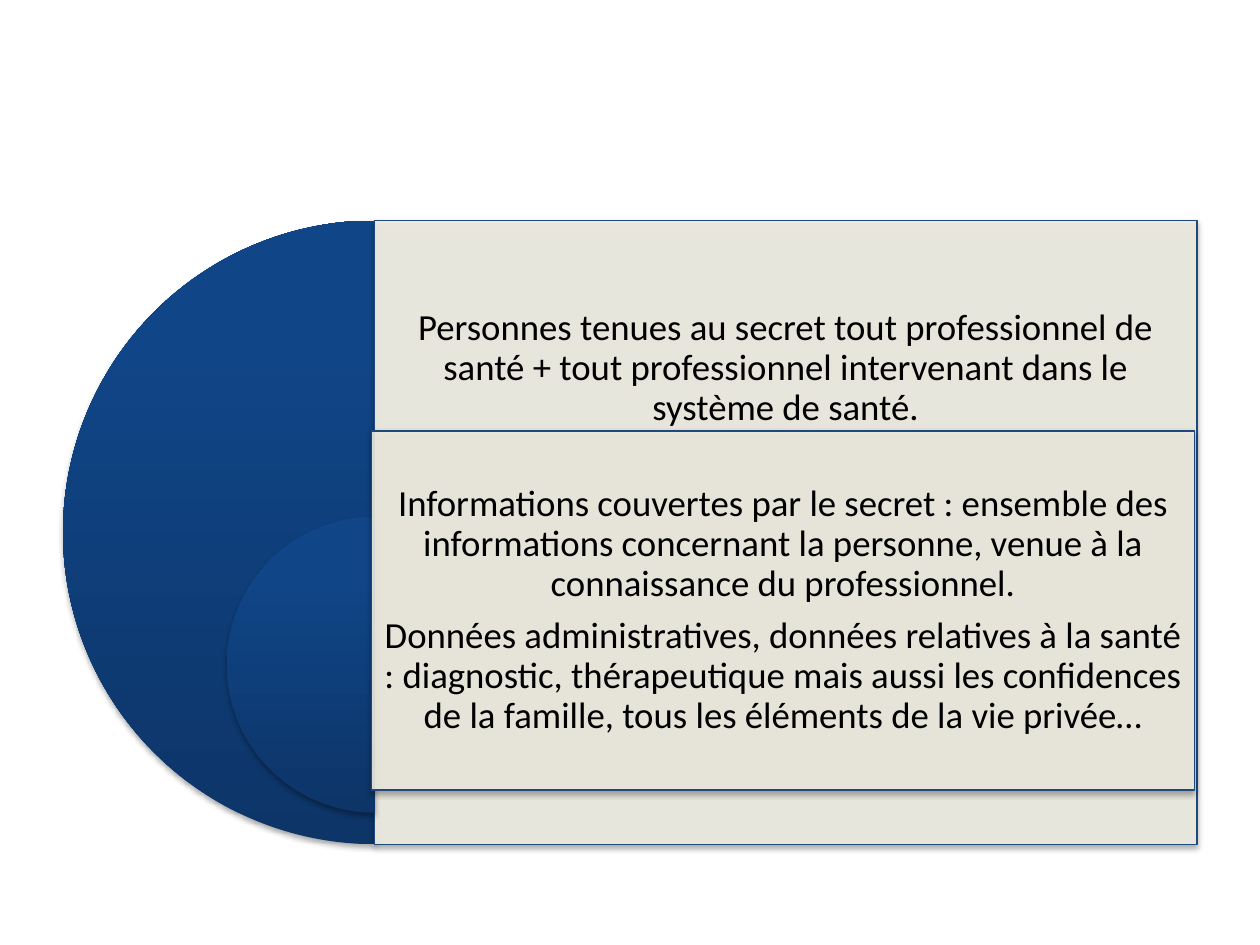
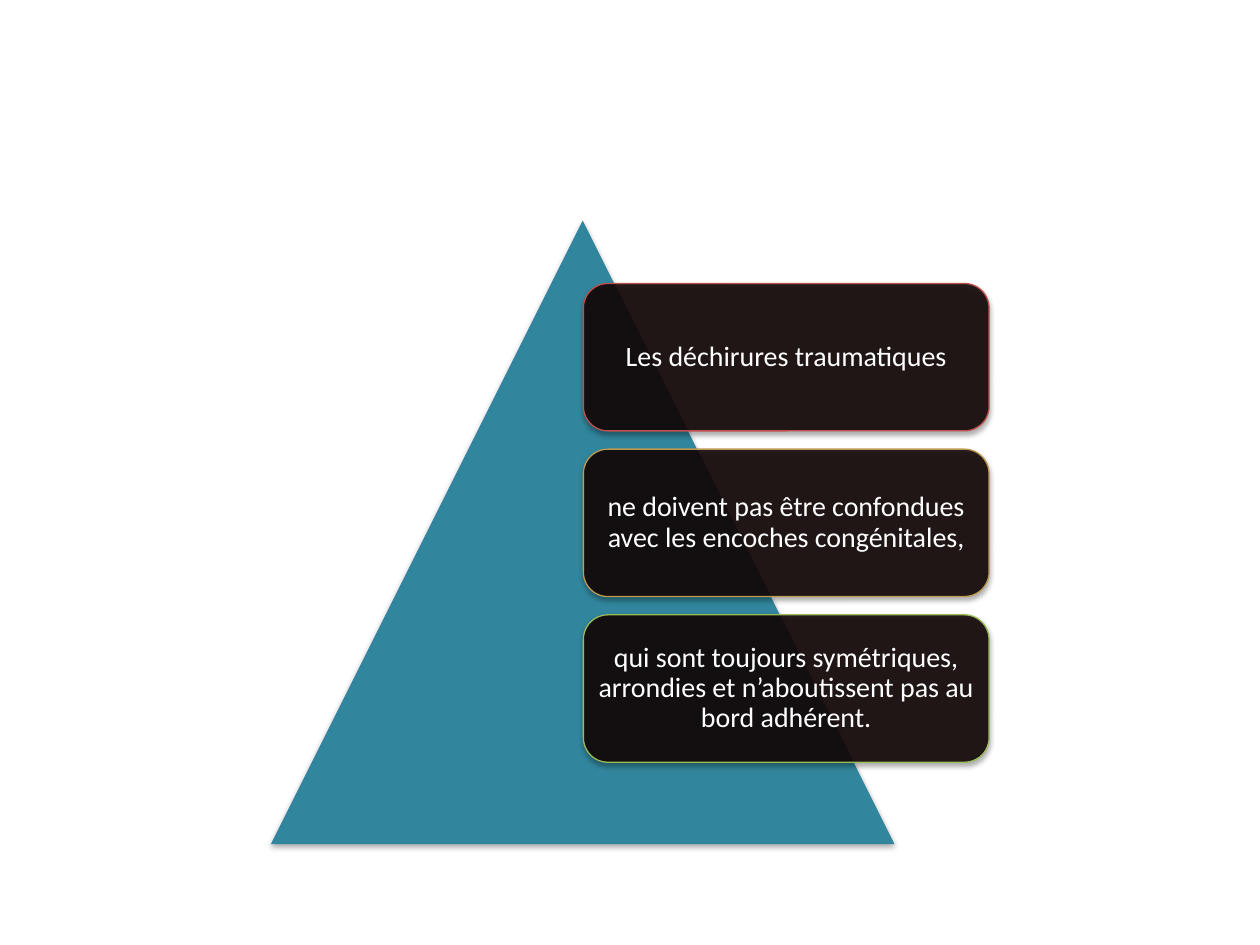
from copy import deepcopy
from dataclasses import dataclass
from typing import Optional

from lxml.etree import SubElement
from pptx import Presentation
from pptx.dml.color import RGBColor
from pptx.enum.shapes import MSO_SHAPE
from pptx.enum.text import MSO_ANCHOR, PP_ALIGN
from pptx.oxml.ns import qn
from pptx.util import Emu, Pt

EMU_PER_PX = 4572  # 200 px to the inch


@dataclass(frozen=True)
class Theme:
    font: str = "Calibri"
    panel_size: int = 21
    card_size: int = 16
    panel_text: str = "000000"
    card_text: str = "FFFFFF"
    panel_fill: str = "EEECE1"
    panel_line: str = "1F497D"
    card_fill: str = "120606"
    card_lines: tuple = ("C0504D", "BD9B53", "9BBB59")
    triangle: str = "31859C"
    pie_stops: tuple = ((0, "0D3568"), (0.8, "104587"), (1, "0E458A"))
    line_width: float = 0.75
    opacity: int = 90


THEME = Theme()


@dataclass(frozen=True)
class Area:
    left: int
    top: int
    width: int
    height: int


@dataclass(frozen=True)
class TextBlock:
    area: Area
    paragraphs: tuple
    kind: MSO_SHAPE
    fill: str
    line: str
    size: int
    color: str
    inset: int
    text_height: Optional[int] = None  # None: the full height


def px(length: int) -> Emu:
    return Emu(length * EMU_PER_PX)


def rgb(color: str) -> RGBColor:
    return RGBColor.from_string(color)


def add_shadow(shape) -> None:
    shape.shadow.inherit = False
    effects = shape.element.spPr.find(qn("a:effectLst"))
    shadow = SubElement(effects, qn("a:outerShdw"), blurRad="40000",
                        dist="23000", dir="5400000", rotWithShape="0")
    black = SubElement(shadow, qn("a:srgbClr"), val="000000")
    SubElement(black, qn("a:alpha"), val="35000")


def add_figure(page, kind: MSO_SHAPE, area: Area):
    """Add a shape with the shared soft shadow and no outline."""
    shape = page.shapes.add_shape(
        kind, px(area.left), px(area.top), px(area.width), px(area.height))
    shape.line.fill.background()
    add_shadow(shape)
    return shape


def add_half_disc(page, area: Area) -> None:
    disc = add_figure(page, MSO_SHAPE.PIE, area)
    disc.adjustments[0], disc.adjustments[1] = 54, 162  # left half
    disc.fill.gradient()
    disc.fill.gradient_angle = 90
    stop_list = disc.element.spPr.find(".//" + qn("a:gsLst"))
    stop_list.append(deepcopy(stop_list[0]))
    for stop, (position, color) in zip(disc.fill.gradient_stops, THEME.pie_stops):
        stop.position = position
        stop.color.rgb = rgb(color)


def add_text_block(page, block: TextBlock) -> None:
    box = add_figure(page, block.kind, block.area)
    box.fill.solid()
    box.fill.fore_color.rgb = rgb(block.fill)
    fill_color = box.element.spPr.find(qn("a:solidFill"))[0]
    SubElement(fill_color, qn("a:alpha"), val=str(THEME.opacity * 1000))
    box.line.color.rgb = rgb(block.line)
    box.line.width = Pt(THEME.line_width)

    # Text area
    frame = box.text_frame
    frame.word_wrap = True
    frame.vertical_anchor = MSO_ANCHOR.MIDDLE
    spare = block.area.height - (block.text_height or block.area.height)
    frame.margin_left = frame.margin_right = frame.margin_top = px(block.inset)
    frame.margin_bottom = px(block.inset + spare)

    # Paragraphs
    for index, text in enumerate(block.paragraphs):
        para = frame.add_paragraph() if index else frame.paragraphs[0]
        para.text = text
        para.alignment = PP_ALIGN.CENTER
        para.line_spacing = 0.9
        para.space_after = Pt(block.size * 0.35)
        para.font.name = THEME.font
        para.font.size = Pt(block.size)
        para.font.color.rgb = rgb(block.color)


def panel(area: Area, paragraphs: tuple, text_height: Optional[int] = None) -> TextBlock:
    return TextBlock(area, paragraphs, MSO_SHAPE.RECTANGLE, THEME.panel_fill,
                     THEME.panel_line, THEME.panel_size, THEME.panel_text,
                     18, text_height)


def card(area: Area, text: str, line: str) -> TextBlock:
    return TextBlock(area, (text,), MSO_SHAPE.ROUNDED_RECTANGLE, THEME.card_fill,
                     line, THEME.card_size, THEME.card_text, 2)


def build_secrecy(page) -> None:
    # Outer half disc and its panel
    add_half_disc(page, Area(100, 350, 990, 990))
    add_text_block(page, panel(Area(594, 350, 1306, 990), (
        "Personnes tenues au secret tout professionnel de santé + tout "
        "professionnel intervenant dans le système de santé.",
    ), text_height=470))

    # Inner half disc and its panel
    add_half_disc(page, Area(360, 820, 470, 470))
    add_text_block(page, panel(Area(590, 684, 1306, 570), (
        "Informations couvertes par le secret : ensemble des informations "
        "concernant la personne, venue à la connaissance du professionnel.",
        "Données administratives, données relatives à la santé : diagnostic, "
        "thérapeutique mais aussi les confidences de la famille, tous les "
        "éléments de la vie privée…",
    )))


def build_tears(page) -> None:
    # Triangle behind the cards
    triangle = add_figure(page, MSO_SHAPE.ISOSCELES_TRIANGLE, Area(430, 350, 990, 990))
    triangle.fill.solid()
    triangle.fill.fore_color.rgb = rgb(THEME.triangle)

    # Column of cards
    texts = (
        "Les déchirures traumatiques",
        "ne doivent pas être confondues avec les encoches congénitales,",
        "qui sont toujours symétriques, arrondies et n’aboutissent pas au bord adhérent.",
    )
    card_height, gap = 234, 29
    for index, (text, line) in enumerate(zip(texts, THEME.card_lines)):
        top = 450 + index * (card_height + gap)
        add_text_block(page, card(Area(926, top, 644, card_height), text, line))


def main() -> None:
    deck = Presentation()
    deck.slide_width, deck.slide_height = px(2000), px(1500)
    blank = deck.slide_layouts[6]
    for build in (build_secrecy, build_tears):
        build(deck.slides.add_slide(blank))
    deck.save("out.pptx")


if __name__ == "__main__":
    main()
